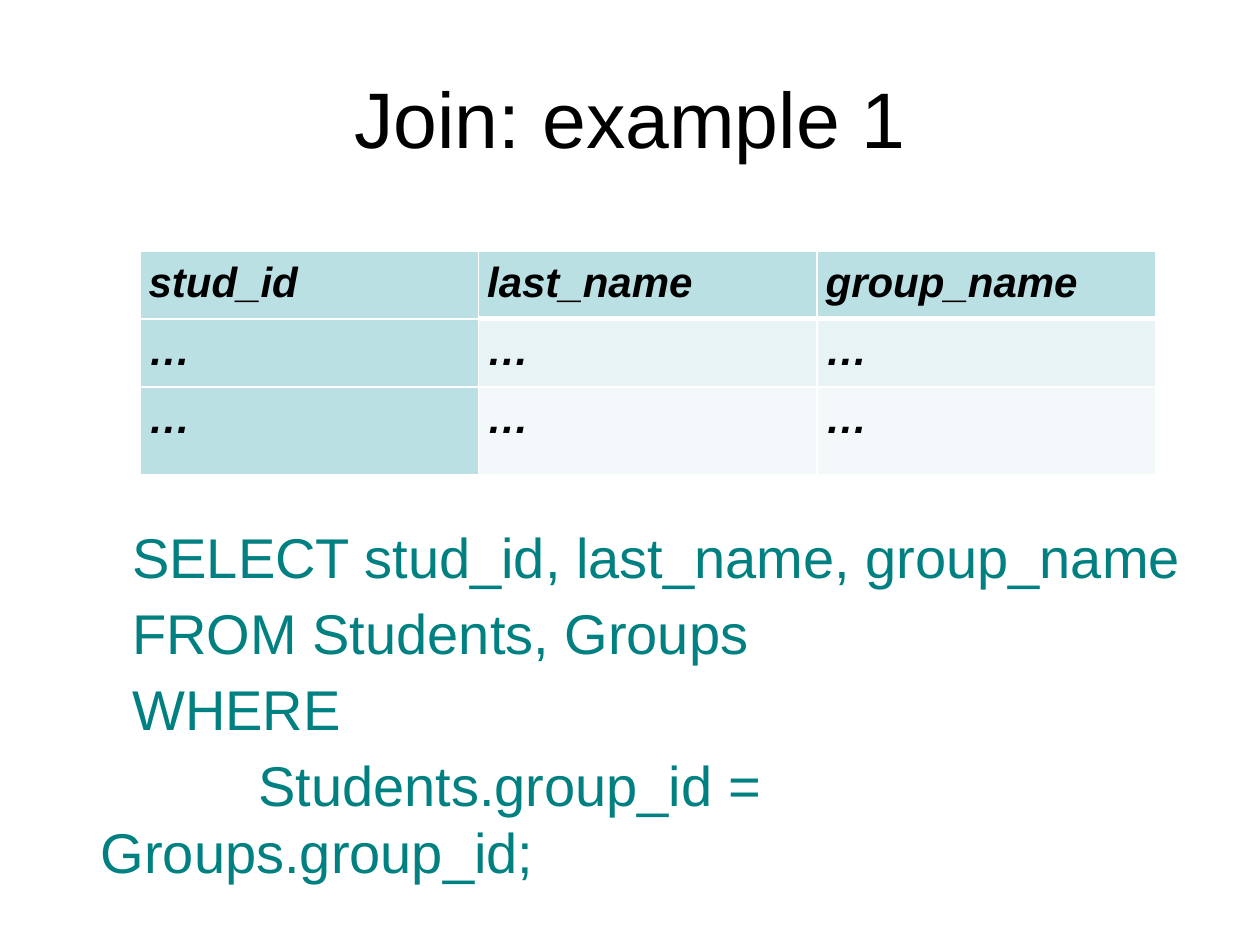
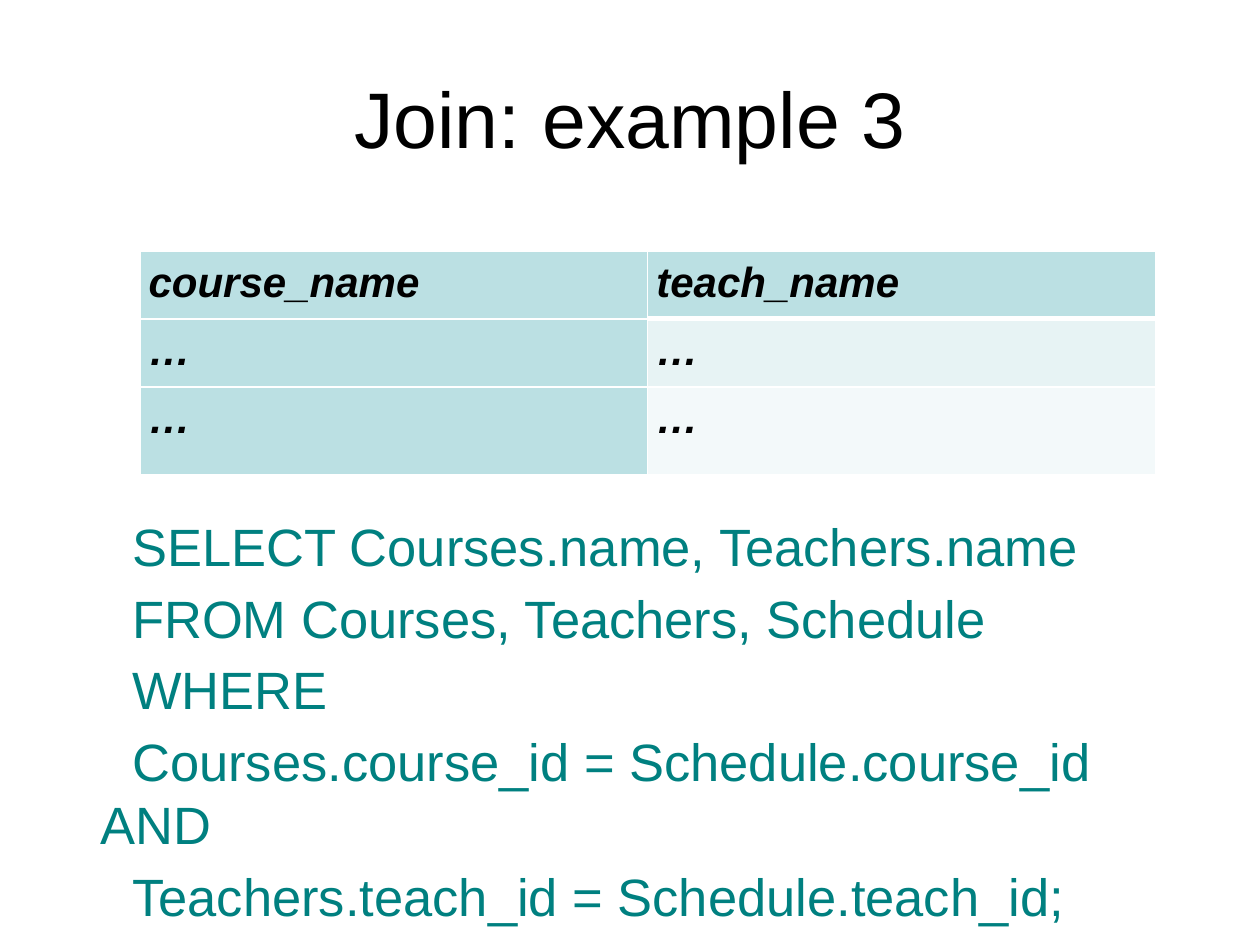
from dataclasses import dataclass

from lxml import etree
from pptx import Presentation
from pptx import util as u
from pptx.dml.color import RGBColor
from pptx.enum import text
from pptx.oxml import ns


@dataclass(frozen=True)
class Theme:
    font: str = "Arial"
    ink: str = "000000"
    query: str = "008080"
    header: str = "BBE0E3"
    bands: tuple = ("E7F3F4", "F3F9FA")
    rule: str = "FFFFFF"
    title_size: int = 45
    cell_size: int = 24
    leading: float = 1.2
    gap: int = 5


theme = Theme()

# Shared frames, in inches
TITLE = (0.5, 0.1, 9, 1.65)
TABLE = (1.11, 1.99, 8.06, 1.79)
ROWS = (0.54, 0.54, 0.7)
QUERY_LEFT, QUERY_WIDTH, HANGING = 0.5, 9, 0.25
INDENT, DEEP_INDENT = 0.25, 1.25
INSET, CELL_INSET = 0.05, 0.07
SIDES = ("left", "top", "right", "bottom")

# Each query line is (first-line indent, wording)
examples = [
    dict(
        title="Join: example 1",
        columns=("stud_id", "last_name", "group_name"),
        size=32, top=4.1, bottom=6.94,
        query=[
            (INDENT, "SELECT stud_id, last_name, group_name"),
            (INDENT, "FROM Students, Groups"),
            (INDENT, "WHERE"),
            (DEEP_INDENT, "Students.group_id = Groups.group_id;"),
        ],
    ),
    dict(
        title="Join: example 3",
        columns=("course_name", "teach_name"),
        size=30, top=4.03, bottom=7.5,
        query=[
            (INDENT, "SELECT Courses.name, Teachers.name"),
            (INDENT, "FROM Courses, Teachers, Schedule"),
            (INDENT, "WHERE"),
            (INDENT, "Courses.course_id = Schedule.course_id AND"),
            (INDENT, "Teachers.teach_id = Schedule.teach_id;"),
        ],
    ),
]


def write(para, wording, color, **font):
    """Add one formatted span to a paragraph."""
    span = para.add_run()
    span.text = wording
    for name, value in dict(name=theme.font, **font).items():
        setattr(span.font, name, value)
    span.font.color.rgb = RGBColor.from_string(color)


def set_borders(cell, widths):
    """Draw the four cell borders, placed ahead of the fill."""
    properties = cell._tc.get_or_add_tcPr()
    for position, (side, width) in enumerate(widths.items()):
        line = etree.Element(ns.qn(f"a:{side}"), w=str(u.Pt(width)))
        fill = etree.SubElement(line, ns.qn("a:solidFill"))
        etree.SubElement(fill, ns.qn("a:srgbClr"), val=theme.rule)
        properties.insert(position, line)


deck = Presentation()
deck.slide_width, deck.slide_height = u.Inches(10), u.Inches(7.5)

for example in examples:
    page = deck.slides.add_slide(deck.slide_layouts[5])

    # Title
    title = page.shapes.title
    for name, value in zip(("left", "top", "width", "height"), TITLE):
        setattr(title, name, u.Inches(value))
    title.text_frame.auto_size = text.MSO_AUTO_SIZE.NONE
    title.text_frame.vertical_anchor = text.MSO_ANCHOR.MIDDLE
    para = title.text_frame.paragraphs[0]
    para.alignment = text.PP_ALIGN.CENTER
    write(para, example["title"], theme.ink, size=u.Pt(theme.title_size))

    # Result table: equal columns, shaded header row and first column
    columns = example["columns"]
    table = page.shapes.add_table(
        len(ROWS), len(columns), *map(u.Inches, TABLE)).table
    table.first_row = table.horz_banding = False
    for column in table.columns:
        column.width = u.Inches(TABLE[2] / len(columns))
    for r, height in enumerate(ROWS):
        table.rows[r].height = u.Inches(height)
        for c, heading in enumerate(columns):
            cell = table.cell(r, c)
            for side in SIDES:
                setattr(cell, f"margin_{side}", u.Inches(CELL_INSET))
            shaded = r == 0 or c == 0
            cell.fill.solid()
            cell.fill.fore_color.rgb = RGBColor.from_string(
                theme.header if shaded else theme.bands[r - 1])
            set_borders(cell, dict(
                lnL=1, lnR=1,
                lnT=3 if r == 1 and c else 1,
                lnB=3 if r == 0 and c else 1))
            write(cell.text_frame.paragraphs[0], "…" if r else heading,
                  theme.ink, size=u.Pt(theme.cell_size), bold=True, italic=True)

    # Query
    box = page.shapes.add_textbox(*map(u.Inches, (
        QUERY_LEFT, example["top"], QUERY_WIDTH,
        example["bottom"] - example["top"])))
    frame = box.text_frame
    frame.word_wrap = True
    for side in SIDES:
        setattr(frame, f"margin_{side}", u.Inches(INSET))
    for number, (indent, wording) in enumerate(example["query"]):
        para = frame.add_paragraph() if number else frame.paragraphs[0]
        para.line_spacing = u.Pt(theme.leading * example["size"])
        para.space_after = u.Pt(theme.gap)
        properties = para._p.get_or_add_pPr()
        properties.set("marL", str(u.Inches(HANGING)))
        properties.set("indent", str(u.Inches(indent)))
        write(para, wording, theme.query, size=u.Pt(example["size"]))

deck.save("out.pptx")
